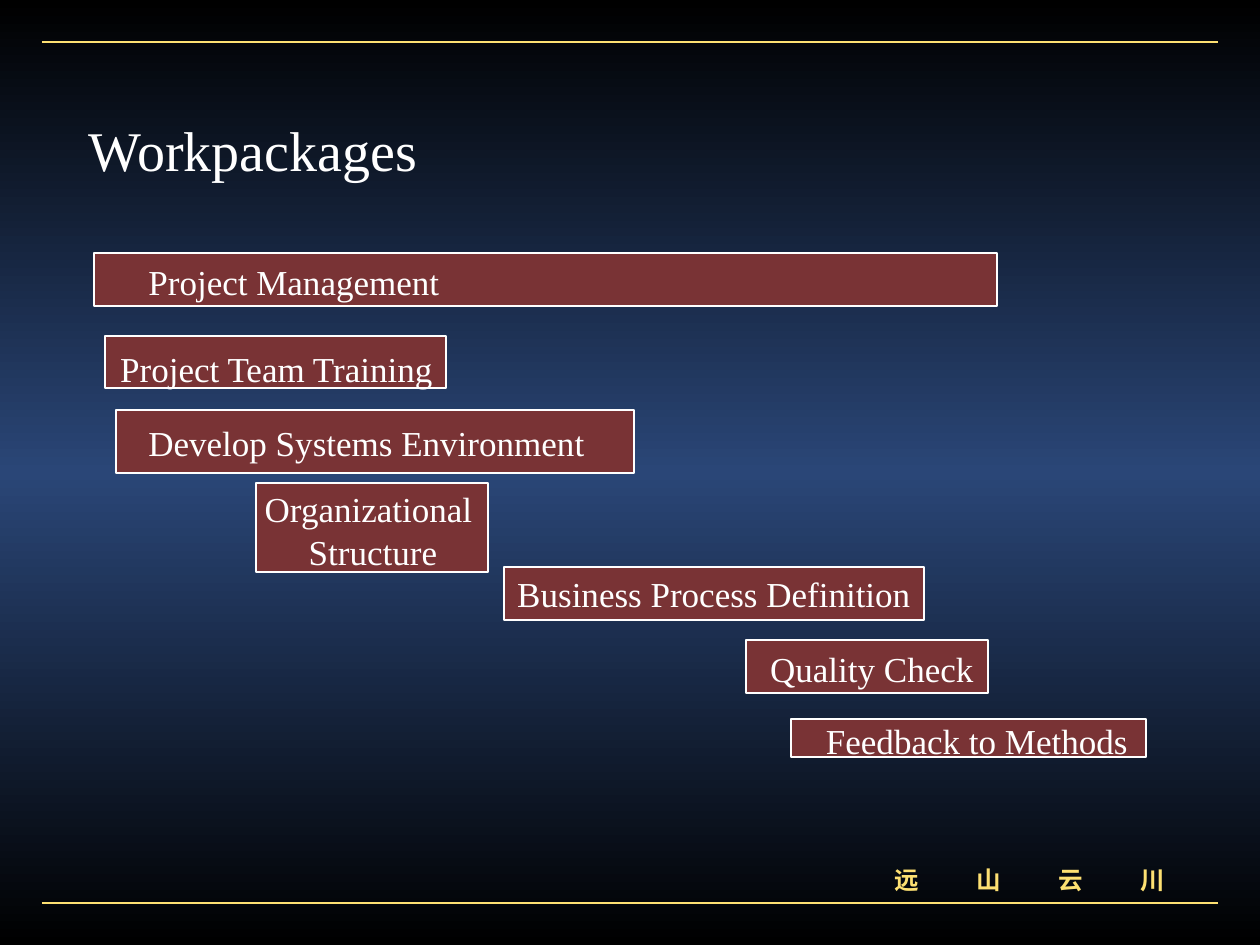
from copy import deepcopy

from lxml.etree import SubElement
from pptx import Presentation
from pptx.dml.color import RGBColor
from pptx.enum.shapes import MSO_CONNECTOR, MSO_SHAPE
from pptx.enum.text import MSO_ANCHOR as Anchor, MSO_AUTO_SIZE, PP_ALIGN as Align
from pptx.oxml.ns import qn
from pptx.util import Emu, Pt

BLACK = RGBColor(0x00, 0x00, 0x00)
BLUE = RGBColor(0x2A, 0x46, 0x77)
GOLD = RGBColor(0xFD, 0xE0, 0x72)
MAROON = RGBColor(0x79, 0x33, 0x35)
WHITE = RGBColor(0xFF, 0xFF, 0xFF)

SERIF = "Times New Roman"
CJK = "Noto Sans CJK SC"


def px(length):
    return Emu(round(length * 914400 / 126))


def write(frame, text, *, size=20, font=SERIF, color=WHITE, bold=False,
          align=Align.CENTER, anchor=Anchor.MIDDLE, wrap=False,
          line_spacing=None, gap=0, tabs=()):
    """Fill a text frame, one paragraph for each line of text."""
    frame.word_wrap = wrap
    frame.auto_size = MSO_AUTO_SIZE.NONE
    frame.vertical_anchor = anchor
    frame.margin_left = frame.margin_right = Pt(7.2)
    frame.margin_top = frame.margin_bottom = Pt(3.6)
    for index, line in enumerate(text.split("\n")):
        paragraph = frame.add_paragraph() if index else frame.paragraphs[0]
        if tabs:
            stops = SubElement(paragraph._p.get_or_add_pPr(), qn("a:tabLst"))
            for stop in tabs:
                SubElement(stops, qn("a:tab"), pos=str(px(stop)), algn="l")
        paragraph.alignment = align
        paragraph.line_spacing = line_spacing
        paragraph.space_before = Pt(gap if index else 0)
        run = paragraph.add_run()
        run.text = line
        run.font.size, run.font.name, run.font.bold = Pt(size), font, bold
        run.font.color.rgb = color
        SubElement(run._r.get_or_add_rPr(), qn("a:ea"), typeface=font)


class Deck:
    """Holds the presentation style and the current slide."""

    def __init__(self, width, height):
        self.file = Presentation()
        self.file.slide_width, self.file.slide_height = px(width), px(height)
        self.slide = self.file.slides.add_slide(self.file.slide_layouts[5])

    def background(self, colors):
        fill = self.slide.background.fill
        fill.gradient()
        fill.gradient_angle = 270
        stop_list = self.slide._element.find(".//" + qn("a:gsLst"))
        while len(stop_list) < len(colors):
            stop_list.append(deepcopy(stop_list[0]))
        for index, (stop, color) in enumerate(zip(fill.gradient_stops, colors)):
            stop.position = index / (len(colors) - 1)
            stop.color.rgb = color

    def title(self, text, x, y, w, h):
        title = self.slide.shapes.title
        title.left, title.top, title.width, title.height = map(px, (x, y, w, h))
        write(title.text_frame, text, size=32)

    def rule(self, x1, x2, y):
        rule = self.slide.shapes.add_connector(
            MSO_CONNECTOR.STRAIGHT, px(x1), px(y), px(x2), px(y))
        rule.line.color.rgb, rule.line.width = GOLD, Pt(1)
        SubElement(rule._element.spPr, qn("a:effectLst"))

    def bar(self, shapes, x, y, w, h):
        bar = shapes.add_shape(MSO_SHAPE.RECTANGLE, *map(px, (x, y, w, h)))
        bar.shadow.inherit = False
        bar.fill.solid()
        bar.fill.fore_color.rgb = MAROON
        bar.line.color.rgb, bar.line.width = WHITE, Pt(1)
        return bar

    def label(self, shapes, text, x, y, w, h, **style):
        box = shapes.add_textbox(*map(px, (x, y, w, h)))
        write(box.text_frame, text, **style)

    def workpackage(self, text, bar_place, label_place, **style):
        """A bar grouped with the label that lies over it."""
        shapes = self.slide.shapes.add_group_shape().shapes
        self.bar(shapes, *bar_place)
        self.label(shapes, text, *label_place, **style)


# Text, bar place, label place, label style
WORKPACKAGES = [
    ("Project Management", (94, 253, 903, 53), (136, 254, 807, 55),
     dict(align=Align.LEFT, wrap=True)),
    ("Project Team Training", (105, 336, 341, 52), (105, 341, 343, 55), {}),
    ("Develop Systems Environment", (116, 410, 518, 63), (136, 415, 461, 55), {}),
    ("Organizational \nStructure", (256, 483, 232, 89), (252, 499, 242, 77),
     dict(line_spacing=0.5, gap=12.5)),
    ("Quality Check", (746, 640, 242, 53), (758, 641, 228, 55), {}),
    ("Feedback to Methods", (791, 719, 355, 38), (814, 713, 326, 55), {}),
]


def main():
    deck = Deck(1260, 945)
    shapes = deck.slide.shapes

    # Frame: background, gold rules and firm name
    deck.background([BLACK, BLUE, BLACK])
    for y in (42, 903):
        deck.rule(42, 1218, y)
    deck.label(shapes, "远\t山\t云\t川", 882, 859, 336, 42, size=14, font=CJK,
               color=GOLD, bold=True, align=Align.LEFT, anchor=Anchor.TOP,
               wrap=True, tabs=[82 * step for step in (1, 2, 3)])

    deck.title("Workpackages", 74, 109, 358, 81)

    # Workpackage schedule
    process_bar = deck.bar(shapes, 504, 567, 420, 53)
    write(process_bar.text_frame, "Business Process Definition")
    for text, bar_place, label_place, style in WORKPACKAGES:
        deck.workpackage(text, bar_place, label_place, **style)

    deck.file.save("out.pptx")


if __name__ == "__main__":
    main()
